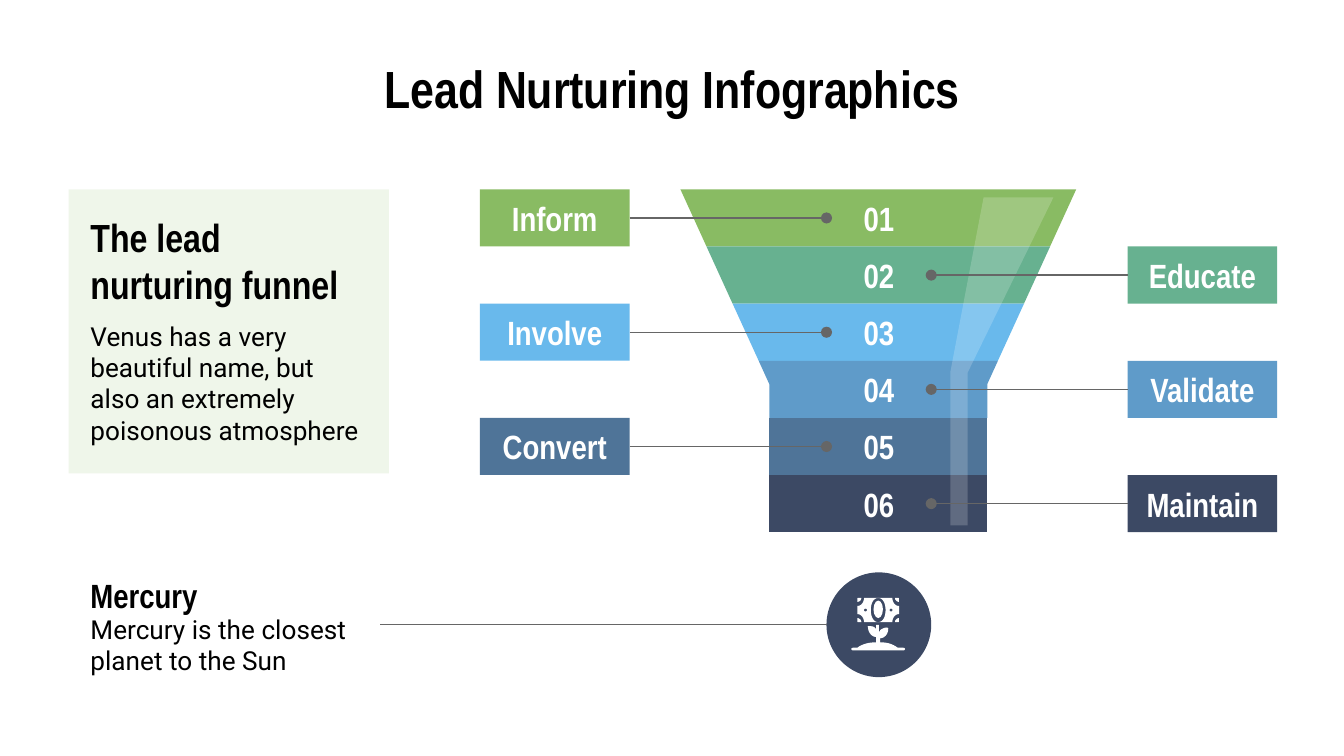
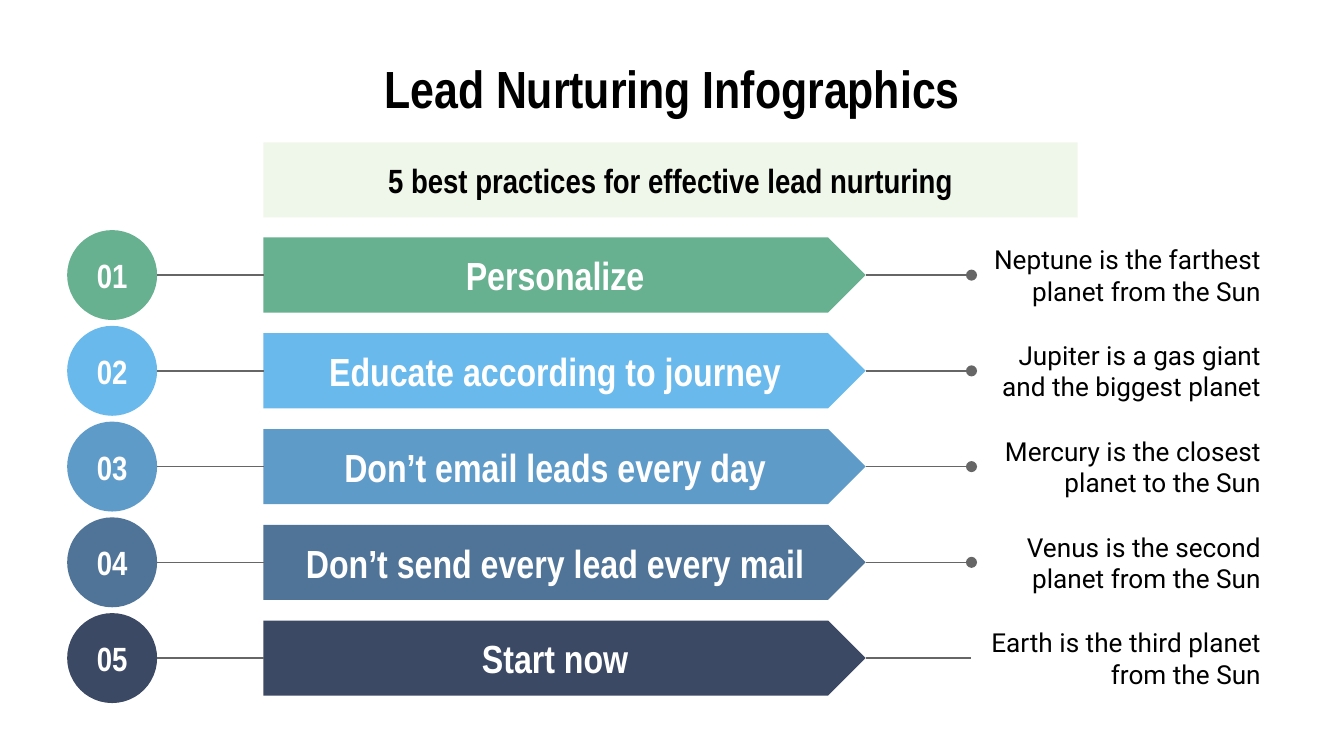
import dataclasses

import lxml.etree
import pptx
import pptx.dml.color
import pptx.enum.shapes
import pptx.enum.text
import pptx.oxml.ns
import pptx.util

Cm = pptx.util.Cm
SHAPE = pptx.enum.shapes.MSO_SHAPE
ALIGN = pptx.enum.text.PP_ALIGN
qn = pptx.oxml.ns.qn


@dataclasses.dataclass(frozen=True)
class Theme:
    stages: tuple = ("89BB63", "67B190", "69B9EC", "5F9BC9", "4F7498", "3C4964")
    white: str = "FFFFFF"
    ink: str = "000000"
    rule: str = "666666"
    heading_font: str = "Arial Narrow"
    body_font: str = "Roboto"
    title: int = 28
    heading: int = 21
    label: int = 18
    body: int = 14
    rule_width: float = 0.75
    tint: int = 13
    sheen: int = 19


theme = Theme()


def add_box(slide, kind, left, top, width, height, fill=None, opacity=100,
            text="", size=theme.label, colour=theme.ink, align=ALIGN.CENTER):
    place = [Cm(length) for length in (left, top, width, height)]
    if kind is None:
        box = slide.shapes.add_textbox(*place)
    else:
        box = slide.shapes.add_shape(kind, *place)
        box.shadow.inherit = False
        box.line.fill.background()
        box.fill.solid()
        box.fill.fore_color.rgb = pptx.dml.color.RGBColor.from_string(fill)
        if opacity < 100:
            tone = box.fill._xPr.find(".//" + qn("a:srgbClr"))
            lxml.etree.SubElement(tone, qn("a:alpha")).set("val", str(opacity * 1000))
    if text:
        frame = box.text_frame
        frame.word_wrap = True
        frame.vertical_anchor = pptx.enum.text.MSO_ANCHOR.MIDDLE
        frame.margin_left = frame.margin_right = Cm(0.25)
        frame.margin_top = frame.margin_bottom = Cm(0.25)
        frame.paragraphs[0].alignment = align
        run = frame.paragraphs[0].add_run()
        run.text = text
        run.font.size = pptx.util.Pt(size)
        run.font.bold = size != theme.body
        run.font.name = theme.body_font if size == theme.body else theme.heading_font
        run.font.color.rgb = pptx.dml.color.RGBColor.from_string(colour)


def add_rule(slide, start, end, y, dot=False):
    rule = slide.shapes.add_connector(
        pptx.enum.shapes.MSO_CONNECTOR.STRAIGHT, Cm(start), Cm(y), Cm(end), Cm(y))
    rule.line.width = pptx.util.Pt(theme.rule_width)
    rule.line.color.rgb = pptx.dml.color.RGBColor.from_string(theme.rule)
    if dot:
        lxml.etree.SubElement(rule.line._get_or_add_ln(), qn("a:tailEnd")).set("type", "oval")
    lxml.etree.SubElement(rule._element.spPr, qn("a:effectLst"))


deck = pptx.Presentation()
deck.slide_width = Cm(25.4)
deck.slide_height = Cm(14.29)
funnel, practices = [deck.slides.add_slide(deck.slide_layouts[6]) for _ in range(2)]
for slide in (funnel, practices):
    add_box(slide, None, 1.27, 1.14, 22.86, 1.04,
            text="Lead Nurturing Infographics", size=theme.title)

funnel_top, band_height = 3.58, 1.08
centre, mouth_half, neck_half, neck_y = 16.6, 3.74, 2.06, 7.26
slope = (mouth_half - neck_half) / (neck_y - funnel_top)
outlines = []
for index, colour in enumerate(theme.stages):
    top = funnel_top + index * band_height
    bottom = top + band_height
    levels = [top, neck_y, bottom] if top < neck_y < bottom else [top, bottom]
    edge = [(max(neck_half, mouth_half - (y - funnel_top) * slope), y) for y in levels]
    right = [(centre + half, y) for half, y in edge]
    left = [(centre - half, y) for half, y in reversed(edge)]
    outlines.append((right + left, colour, 100))
outlines.append(([(18.59, 3.73), (17.96, 7.04), (17.96, 9.93),
                  (18.29, 9.93), (18.29, 7.04), (19.91, 3.73)], theme.white, theme.sheen))

badge_left, badge_top, badge_size, unit = 15.62, 10.82, 1.98, 0.0254
plant = [(37, 39), (37, 42), (35, 40, 34, 40, 32, 40), (31, 40, 30, 40, 31, 41),
         (31, 45, 34, 48, 37, 48), (37, 52), (32, 52, 27, 53, 23, 56), (20, 56),
         (18, 56, 18, 58, 20, 58), (57, 58), (59, 58, 59, 56, 57, 56), (53, 56),
         (49, 53, 45, 52, 40, 52), (40, 49), (43, 49, 46, 46, 46, 42),
         (46, 42, 46, 41, 45, 41), (43, 41, 41, 42, 40, 43), (40, 43, 40, 44, 39, 44),
         (39, 39)]
bill_half = [(28, 19), (28, 22, 26, 25, 23, 25), (23, 31), (26, 31, 28, 34, 28, 37),
             (38.5, 37), (35, 37, 33, 33, 33, 28), (33, 23, 35, 19, 38.5, 19)]
bill_corner = [(26, 19), (24, 19), (23, 19, 23, 19, 23, 20), (23, 22),
               (24, 22, 26, 21, 26, 19)]
icon_parts = [(plant, False, False)]
for mirrored in (False, True):
    icon_parts += [(bill_half, mirrored, False),
                   (bill_corner, mirrored, False), (bill_corner, mirrored, True)]
for steps, mirrored, flipped in icon_parts:
    points = []
    for step in steps:
        if len(step) == 2:
            points.append(step)
            continue
        x0, y0 = points[-1]
        x1, y1, x2, y2, x3, y3 = step
        for t in [count / 8 for count in range(1, 9)]:
            a, b, c, d = (1 - t) ** 3, 3 * t * (1 - t) ** 2, 3 * t * t * (1 - t), t ** 3
            points.append((a * x0 + b * x1 + c * x2 + d * x3,
                           a * y0 + b * y1 + c * y2 + d * y3))
    outlines.append(([(badge_left + unit * (77 - x if mirrored else x),
                       badge_top + unit * (56 - y if flipped else y))
                      for x, y in points], theme.white, 100))

add_box(funnel, SHAPE.OVAL, badge_left, badge_top, badge_size, badge_size, theme.stages[-1])
for points, colour, opacity in outlines:
    corners = [(Cm(x), Cm(y)) for x, y in points]
    builder = funnel.shapes.build_freeform(*corners[0])
    builder.add_line_segments(corners[1:], close=True)
    piece = builder.convert_to_shape()
    piece.shadow.inherit = False
    piece.line.fill.background()
    piece.fill.solid()
    piece.fill.fore_color.rgb = pptx.dml.color.RGBColor.from_string(colour)
    if opacity < 100:
        tone = piece.fill._xPr.find(".//" + qn("a:srgbClr"))
        lxml.etree.SubElement(tone, qn("a:alpha")).set("val", str(opacity * 1000))
add_box(funnel, SHAPE.OVAL, badge_left + 35 * unit, badge_top + 21 * unit,
        7 * unit, 13 * unit, theme.white)
for dot_x in (28, 47):
    add_box(funnel, SHAPE.OVAL, badge_left + dot_x * unit, badge_top + 27 * unit,
            2 * unit, 2 * unit, theme.stages[-1])

label_width = 2.83
for index, stage in enumerate(
        ("Inform", "Educate", "Involve", "Validate", "Convert", "Maintain")):
    top = funnel_top + index * band_height
    middle = top + band_height / 2
    on_left = index % 2 == 0
    label_left = 9.07 if on_left else 21.31
    add_box(funnel, None, badge_left, middle - 0.4, badge_size, 0.8,
            text=f"{index + 1:02}", colour=theme.white)
    add_box(funnel, SHAPE.RECTANGLE, label_left, top, label_width, band_height,
            theme.stages[index], text=stage, colour=theme.white)
    if on_left:
        add_rule(funnel, label_left + label_width, badge_left, middle, dot=True)
    else:
        add_rule(funnel, label_left, badge_left + badge_size, middle, dot=True)

add_box(funnel, SHAPE.RECTANGLE, 1.3, funnel_top, 6.05, 5.37, theme.stages[0], theme.tint)
for top, height, text, size in (
        (3.99, 1.88, "The lead nurturing funnel", theme.heading),
        (5.89, 2.69, "Venus has a very beautiful name, but also an extremely "
                     "poisonous atmosphere", theme.body),
        (10.87, 0.76, "Mercury", theme.label),
        (11.63, 1.12, "Mercury is the closest planet to the Sun", theme.body)):
    add_box(funnel, None, 1.46, top, 5.72, height, text=text, size=size, align=ALIGN.LEFT)
add_rule(funnel, 7.19, badge_left, badge_top + badge_size / 2)

add_box(practices, SHAPE.RECTANGLE, 4.98, 2.69, 15.39, 1.42, theme.stages[0], theme.tint,
        text="5 best practices for effective lead nurturing")
tips = (
    ("Personalize", "Neptune is the farthest planet from the Sun"),
    ("Educate according to journey", "Jupiter is a gas giant and the biggest planet"),
    ("Don’t email leads every day", "Mercury is the closest planet to the Sun"),
    ("Don’t send every lead every mail", "Venus is the second planet from the Sun"),
    ("Start now", "Earth is the third planet from the Sun"),
)
for index, (practice, detail) in enumerate(tips):
    middle = 5.2 + index * 1.81
    colour = theme.stages[index + 1]
    add_box(practices, SHAPE.PENTAGON, 4.98, middle - 0.71, 11.38, 1.42, colour,
            text=practice, size=theme.heading, colour=theme.white)
    add_box(practices, None, 18.36, middle - 0.56, 5.72, 1.12,
            text=detail, size=theme.body, align=ALIGN.RIGHT)
    add_box(practices, SHAPE.OVAL, 1.27, middle - 0.85, 1.7, 1.7, colour,
            text=f"{index + 1:02}", colour=theme.white)
    add_rule(practices, 2.97, 4.98, middle)
    add_rule(practices, 16.36, 18.36, middle, dot=index < len(tips) - 1)

deck.save("out.pptx")
